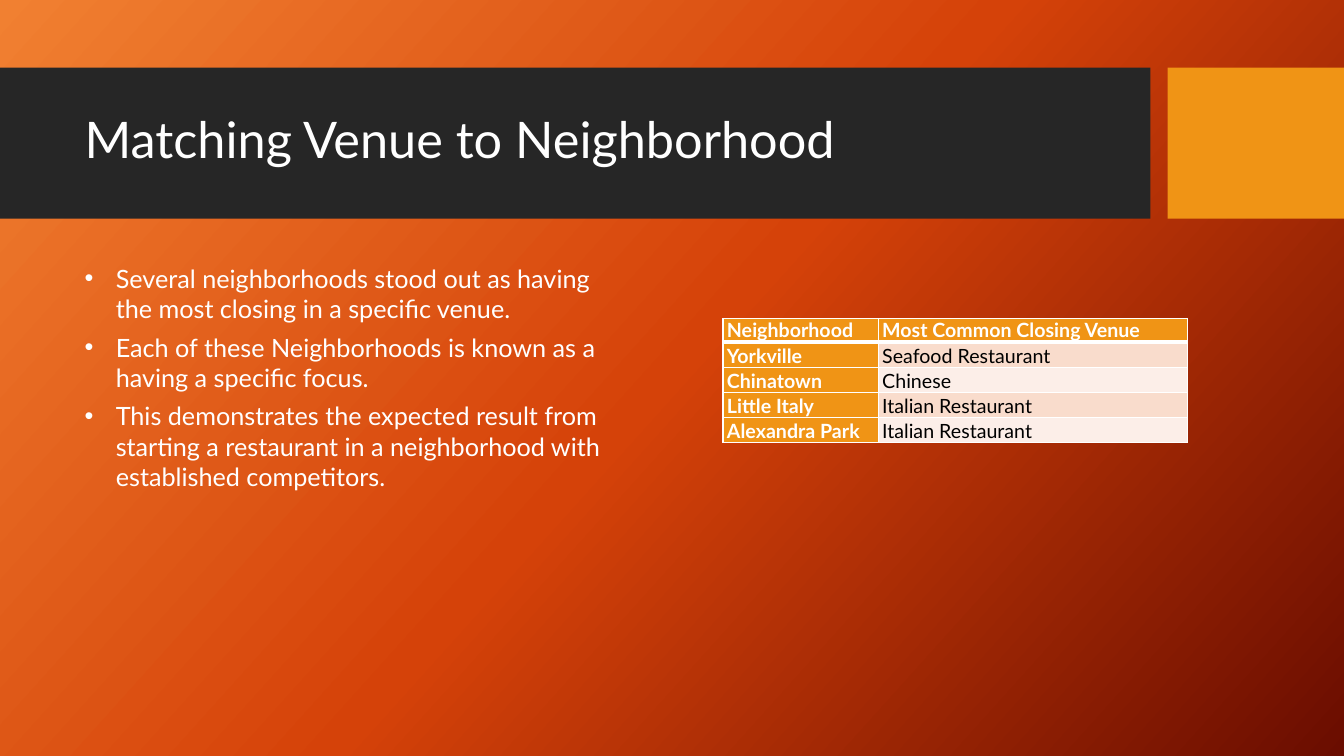
from copy import deepcopy

from pptx import Presentation
from pptx.dml.color import RGBColor
from pptx.enum.shapes import MSO_SHAPE
from pptx.enum.text import MSO_ANCHOR, MSO_AUTO_SIZE, PP_ALIGN
from pptx.oxml.ns import qn
from pptx.util import Inches, Pt
from lxml import etree

RECTANGLE = MSO_SHAPE.RECTANGLE
MIDDLE, LEFT = MSO_ANCHOR.MIDDLE, PP_ALIGN.LEFT
GROW = MSO_AUTO_SIZE.SHAPE_TO_FIT_TEXT

# Content
TITLE = "Matching Venue to Neighborhood"
FINDINGS = [
    "Several neighborhoods stood out as having the most closing in a specific venue.",
    "Each of these Neighborhoods is known as a having a specific focus.",
    "This demonstrates the expected result from starting a restaurant in a "
    "neighborhood with established competitors.",
]
VENUES = [
    ("Neighborhood", "Most Common Closing Venue"),
    ("Yorkville", "Seafood Restaurant"),
    ("Chinatown", "Chinese"),
    ("Little Italy", "Italian Restaurant"),
    ("Alexandra Park", "Italian Restaurant"),
]


class Theme:
    font = "Lato"
    title_size, body_size, table_size = 36, 18, 14
    white, black = "FFFFFF", "000000"
    band, accent = "262626", "F09415"
    row_tints = ("F9DCCC", "FCEEE8")
    backdrop = ((0, "F18031"), (0.5, "D54209"), (1, "6A0D00"))
    backdrop_angle = 42


# Layout, in inches
SLIDE_W, SLIDE_H = 13.33, 7.5
BAND_TOP, BAND_H, BAND_W, BAND_GAP = 0.67, 1.5, 11.41, 0.17
TEXT_LEFT = 0.74
COLUMN_WIDTHS = (1.54, 3.07)
ROW_H, TABLE_H = 0.1, 1.18
INDENT = 0.31


def style_text(paragraph, size, color, bold=False):
    paragraph.alignment = LEFT
    for run in paragraph.runs:
        run.font.name = Theme.font
        run.font.size = Pt(size)
        run.font.bold = bold
        run.font.color.rgb = RGBColor.from_string(color)


def paint_backdrop(slide):
    fill = slide.background.fill
    fill.gradient()
    fill.gradient_angle = 360 - Theme.backdrop_angle
    stop_list = next(slide.element.iter(qn("a:gsLst")))
    stop_list.append(deepcopy(stop_list[0]))
    for stop, (position, color) in zip(fill.gradient_stops, Theme.backdrop):
        stop.position = position
        stop.color.rgb = RGBColor.from_string(color)


def add_block(slide, left, width, color):
    block = slide.shapes.add_shape(
        RECTANGLE, Inches(left), Inches(BAND_TOP), Inches(width), Inches(BAND_H))
    block.shadow.inherit = False
    block.fill.solid()
    block.fill.fore_color.rgb = RGBColor.from_string(color)
    block.line.fill.background()


def add_bullet(paragraph):
    properties = paragraph._p.get_or_add_pPr()
    properties.set("marL", str(Inches(INDENT)))
    properties.set("indent", str(-Inches(INDENT)))
    etree.SubElement(properties, qn("a:buFont"), typeface="Arial")
    etree.SubElement(properties, qn("a:buChar"), char="•")


def set_borders(cell, widths):
    properties = cell._tc.get_or_add_tcPr()
    for side, width in widths.items():
        line = etree.SubElement(properties, qn(f"a:ln{side}"), w=str(Pt(width)))
        solid = etree.SubElement(line, qn("a:solidFill"))
        etree.SubElement(solid, qn("a:srgbClr"), val=Theme.white)


def format_cell(cell, text, row, column):
    is_label = row == 0 or column == 0
    set_borders(cell, {"L": 1, "R": 1, "T": 3 if row == 1 else 1,
                       "B": 3 if row == 0 else 1})
    cell.fill.solid()
    cell.fill.fore_color.rgb = RGBColor.from_string(
        Theme.accent if is_label else Theme.row_tints[(row - 1) % 2])
    cell.margin_left = cell.margin_right = Inches(0.04)
    cell.margin_top = cell.margin_bottom = 0
    cell.text_frame.text = text
    paragraph = cell.text_frame.paragraphs[0]
    if row > 0:
        paragraph.line_spacing = 1.07
    style_text(paragraph, Theme.table_size,
               Theme.white if is_label else Theme.black, is_label)


def main():
    prs = Presentation()
    prs.slide_width, prs.slide_height = Inches(SLIDE_W), Inches(SLIDE_H)
    slide = prs.slides.add_slide(prs.slide_layouts[5])
    paint_backdrop(slide)

    # Title band and accent block
    accent_left = BAND_W + BAND_GAP
    add_block(slide, 0, BAND_W, Theme.band)
    add_block(slide, accent_left, SLIDE_W - accent_left, Theme.accent)

    # Title, brought in front of its band
    title = slide.shapes.title
    title.left, title.top = Inches(TEXT_LEFT), Inches(0.82)
    title.width, title.height = Inches(10.51), Inches(1.18)
    title.text_frame.text = TITLE
    title.text_frame.vertical_anchor = MIDDLE
    heading = title.text_frame.paragraphs[0]
    heading.line_spacing = 0.9
    style_text(heading, Theme.title_size, Theme.white)
    slide.shapes._spTree.append(title._element)

    # Venue table
    frame = slide.shapes.add_table(
        len(VENUES), len(COLUMN_WIDTHS), Inches(7.17), Inches(3.16),
        Inches(sum(COLUMN_WIDTHS)), Inches(ROW_H * len(VENUES)))
    table = frame.table
    for column, width in zip(table.columns, COLUMN_WIDTHS):
        column.width = Inches(width)
    for row, values in enumerate(VENUES):
        for column, value in enumerate(values):
            format_cell(table.cell(row, column), value, row, column)
    frame.height = Inches(TABLE_H)

    # Findings
    findings = slide.shapes.add_textbox(
        Inches(TEXT_LEFT), Inches(2.56), Inches(5.61), Inches(2.39)).text_frame
    findings.word_wrap = True
    findings.auto_size = GROW
    findings.text = "\n".join(FINDINGS)
    for paragraph in findings.paragraphs:
        paragraph.space_before = Pt(6)
        style_text(paragraph, Theme.body_size, Theme.white)
        add_bullet(paragraph)

    prs.save("out.pptx")


if __name__ == "__main__":
    main()
